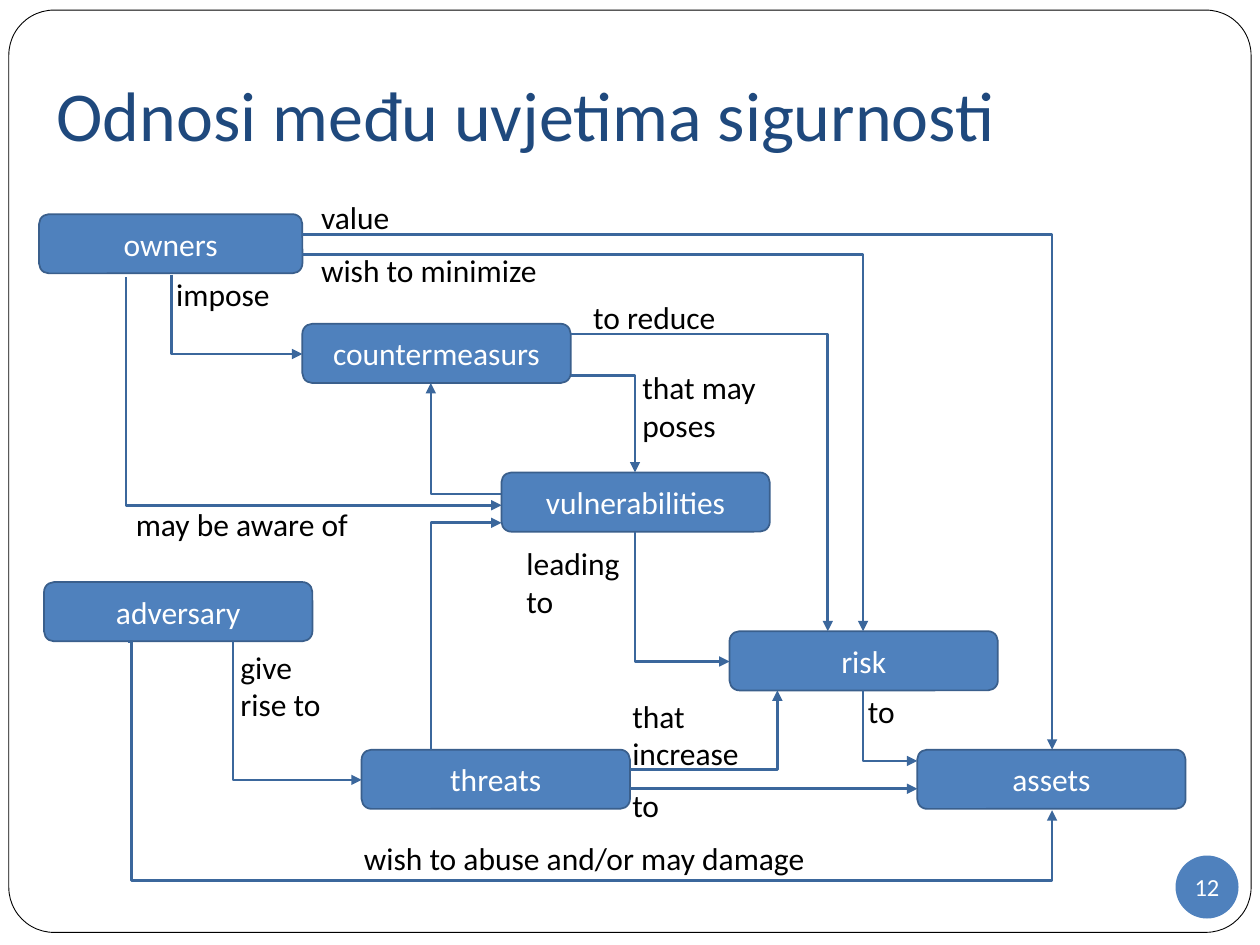
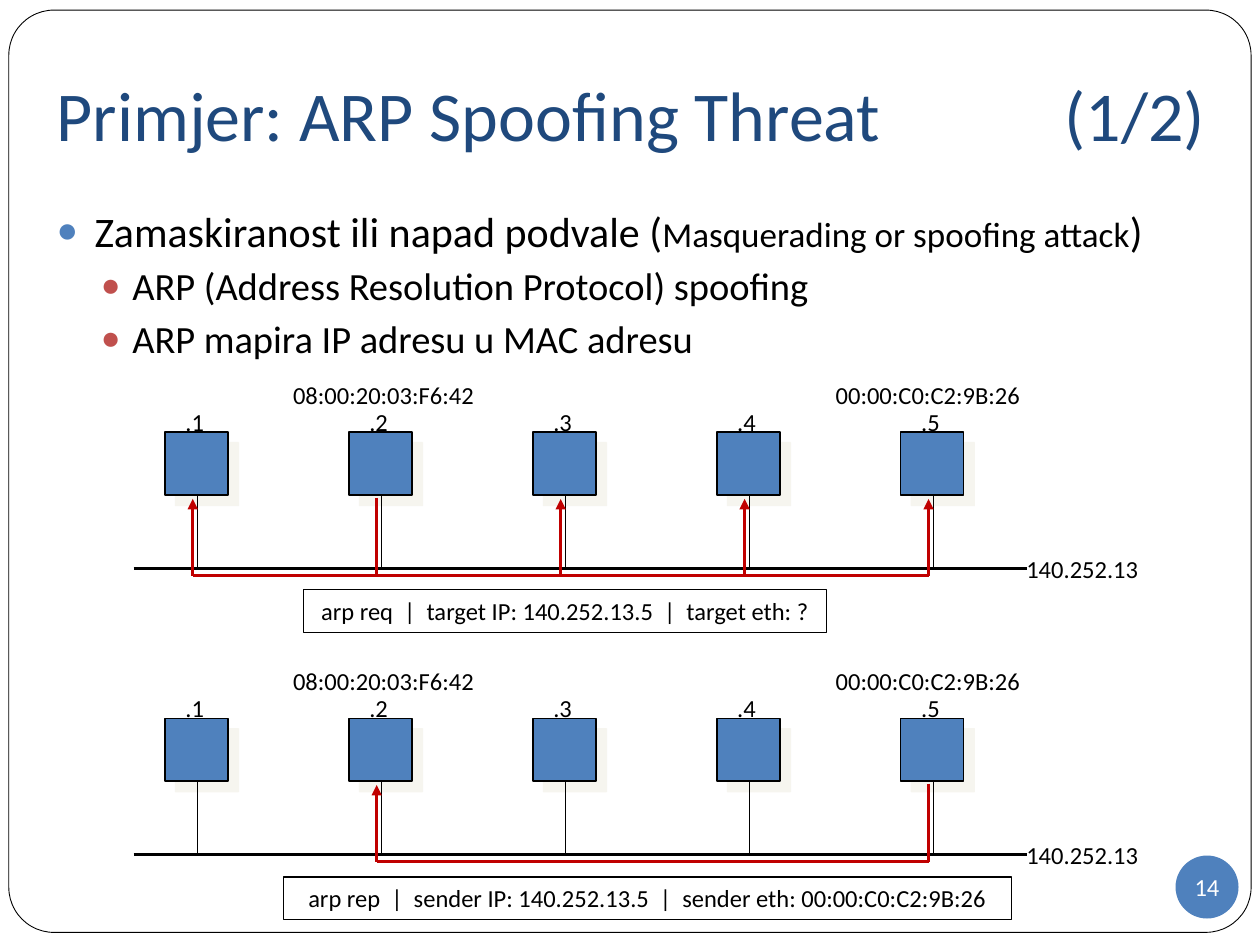
from lxml import etree
from pptx import Presentation
from pptx.dml.color import RGBColor
from pptx.enum.shapes import MSO_CONNECTOR, MSO_SHAPE
from pptx.enum.text import MSO_ANCHOR, MSO_AUTO_SIZE, PP_ALIGN
from pptx.oxml.ns import qn
from pptx.util import Inches, Pt

STRAIGHT, ELBOW = MSO_CONNECTOR.STRAIGHT, MSO_CONNECTOR.ELBOW
ROUNDED, RECT, OVAL = MSO_SHAPE.ROUNDED_RECTANGLE, MSO_SHAPE.RECTANGLE, MSO_SHAPE.OVAL
MIDDLE, TOP = MSO_ANCHOR.MIDDLE, MSO_ANCHOR.TOP
LEFT, CENTER = PP_ALIGN.LEFT, PP_ALIGN.CENTER
FIT, NO_FIT = MSO_AUTO_SIZE.SHAPE_TO_FIT_TEXT, MSO_AUTO_SIZE.NONE

BLACK = RGBColor(0x00, 0x00, 0x00)
WHITE = RGBColor(0xFF, 0xFF, 0xFF)
NAVY = RGBColor(0x1F, 0x49, 0x7D)
BLUE = RGBColor(0x4F, 0x81, 0xBD)
BOX_EDGE = RGBColor(0x3A, 0x5F, 0x8C)
ARROW_BLUE = RGBColor(0x3B, 0x67, 0x9C)
BULLET_RED = RGBColor(0xC0, 0x50, 0x4D)
MESSAGE_RED = RGBColor(0xC0, 0x00, 0x00)
CREAM = RGBColor(0xEE, 0xEC, 0xE1)

FONT = "Calibri"
TITLE_ONLY, TITLE_AND_CONTENT = 5, 1


def child(parent, tag, **attributes):
    element = etree.SubElement(parent, qn(tag))
    for key, value in attributes.items():
        element.set(key, str(value))
    return element


class Deck:
    """Holds the shared style and the slide being drawn."""

    def __init__(self):
        self.prs = Presentation()
        self.prs.slide_width, self.prs.slide_height = Inches(10), Inches(7.5)
        self.slide = None

    def new_slide(self, layout, title, number):
        first = self.slide is None
        self.slide = self.prs.slides.add_slide(self.prs.slide_layouts[layout])
        if first:
            self.master_frame()
        heading = self.slide.shapes.title
        self.place(heading, 0.35, 0.3, 9.37, 1.25)
        frame = heading.text_frame
        frame.margin_bottom = Inches(0.1)
        frame.auto_size, frame.vertical_anchor = NO_FIT, MIDDLE
        self.add_text(frame.paragraphs[0], title, 40, NAVY)
        if "\t" in title:
            tabs = child(frame.paragraphs[0]._p.get_or_add_pPr(), "a:tabLst")
            for stop in (7, 8):
                child(tabs, "a:tab", pos=Inches(stop), algn="l")
        badge = self.shape(OVAL, 9.33, 6.79, 0.5, 0.5, BLUE, text=number, size=14)
        frame = badge.text_frame
        frame.margin_left = frame.margin_right = frame.margin_top = frame.margin_bottom = 0
        frame.word_wrap = False

    def master_frame(self):
        """Moves the rounded page border to the master, behind everything."""
        border = self.shape(ROUNDED, 0.07, 0.08, 9.86, 7.32, WHITE, BLACK, 0.5)
        border.adjustments[0] = 0.049
        self.prs.slide_master.shapes._spTree.insert(2, border._element)

    def place(self, shape, x, y, w, h):
        shape.left, shape.top = Inches(x), Inches(y)
        shape.width, shape.height = Inches(w), Inches(h)

    def add_text(self, paragraph, text, size, color, align=LEFT):
        paragraph.alignment = align
        for index, part in enumerate(text.split("\n")):
            if index:
                paragraph.add_line_break()
            run = paragraph.add_run()
            run.text = part
            run.font.name, run.font.size = FONT, Pt(size)
            run.font.color.rgb = color

    def shape(self, preset, x, y, w, h, fill, edge=None, weight=1, text="", size=18):
        shape = self.slide.shapes.add_shape(preset, Inches(x), Inches(y), Inches(w), Inches(h))
        shape.shadow.inherit = False
        shape.fill.solid()
        shape.fill.fore_color.rgb = fill
        if edge is None:
            shape.line.fill.background()
        else:
            shape.line.color.rgb = edge
            shape.line.width = Pt(weight)
        if text:
            shape.text_frame.vertical_anchor = MIDDLE
            self.add_text(shape.text_frame.paragraphs[0], text, size, WHITE, CENTER)
        return shape

    def label(self, text, x, y, w, h, size=18, align=LEFT, wrap=True):
        box = self.slide.shapes.add_textbox(Inches(x), Inches(y), Inches(w), Inches(h))
        box.text_frame.word_wrap = wrap
        box.text_frame.auto_size = FIT
        self.add_text(box.text_frame.paragraphs[0], text, size, BLACK, align)

    def line(self, start, end, color, weight=1.5, arrow=False, kind=STRAIGHT):
        link = self.slide.shapes.add_connector(kind, *map(Inches, start + end))
        link.line.color.rgb, link.line.width = color, Pt(weight)
        if arrow:
            child(link.line._get_or_add_ln(), "a:tailEnd", type="triangle")
        child(link._element.spPr, "a:effectLst")
        return link

    def elbow(self, start, end, down_first=False):
        """One right-angle turn; down_first leaves the start vertically."""
        link = self.line(start, end, ARROW_BLUE, arrow=True, kind=ELBOW)
        link._element.spPr.find(qn("a:prstGeom")).set("prst", "bentConnector2")
        if down_first:
            (x1, y1), (x2, y2) = start, end
            w, h = abs(y2 - y1), abs(x2 - x1)
            self.place(link, (x1 + x2 - w) / 2, (y1 + y2 - h) / 2, w, h)
            xfrm = link._element.spPr.find(qn("a:xfrm"))
            angle = 270 if (x2 > x1) == (y2 > y1) else 90
            xfrm.set("rot", str(angle * 60000))
            xfrm.set("flipH", str(int(x2 > x1)))
            xfrm.set("flipV", str(int(y2 < y1)))

    def detour(self, start, end, depth):
        """Goes down, across and back up; depth is a share of the height."""
        link = self.line(start, end, ARROW_BLUE, arrow=True, kind=ELBOW)
        geometry = link._element.spPr.find(qn("a:prstGeom"))
        geometry.set("prst", "bentConnector4")
        guides = geometry.find(qn("a:avLst"))
        for name, share in (("adj1", 0.003), ("adj2", depth)):
            child(guides, "a:gd", name=name, fmla=f"val {round(share * 100000)}")

    def bullet(self, paragraph, level, runs):
        indent, hanging, before, color = ((0.3, 0.3, 5.8, BLUE), (0.6, 0.25, 3.8, BULLET_RED))[level]
        paragraph.level, paragraph.space_before = level, Pt(before)
        for text, size in runs:
            self.add_text(paragraph, text, size, BLACK)
        props = paragraph._p.get_or_add_pPr()
        props.set("marL", str(Inches(indent)))
        props.set("indent", str(-Inches(hanging)))
        child(child(props, "a:buClr"), "a:srgbClr", val=color)
        child(props, "a:buSzPct", val=85000)
        child(props, "a:buChar", char="●")

    def host(self, x, y):
        square = self.shape(RECT, x, y, 0.5, 0.5, BLUE, BLACK, 0.75)
        effects = square._element.spPr.find(qn("a:effectLst"))
        shadow = child(effects, "a:outerShdw", blurRad=0, dist=Pt(8.5), dir=45 * 60000,
                       algn="ctr", rotWithShape=0)
        child(child(shadow, "a:srgbClr", val=CREAM), "a:alpha", val=50000)

    def network(self, y):
        """Five hosts hanging on one bus; y is the top of the hosts."""
        self.line((1.06, y + 1.08), (8.15, y + 1.08), BLACK)
        for number, x in enumerate(HOSTS, 1):
            self.host(x, y)
            self.line((x + 0.26, y + 0.5), (x + 0.26, y + 1.08), BLACK, 0.75)
            self.label(f".{number}", x + 0.06, y - 0.25, 0.35, 0.34, 14, CENTER, False)
        for text, x in (("08:00:20:03:F6:42", 2.21), ("00:00:C0:C2:9B:26", 6.53)):
            self.label(text, x, y - 0.46, 1.67, 0.34, 14, CENTER, False)
        self.label("140.252.13", 8.04, y + 0.92, 1.1, 0.34, 14, CENTER, False)

    def message(self, y, sender, receivers):
        """Red path from the sender along the bus up to each receiver."""
        ends = [HOSTS[i] + 0.22 for i in (sender, *receivers)]
        bus = y + 1.14
        self.line((ends[0], y + 0.52), (ends[0], bus), MESSAGE_RED)
        self.line((min(ends), bus), (max(ends), bus), MESSAGE_RED)
        for x in ends[1:]:
            self.line((x, bus), (x, y + 0.53), MESSAGE_RED, arrow=True)

    def packet(self, text, x, y, w):
        self.shape(RECT, x, y, w, 0.34, WHITE, BLACK, 0.75)
        self.label(text, x, y, w, 0.34, 14, CENTER, False)


deck = Deck()

# Slide 12: relations between security terms
deck.new_slide(TITLE_ONLY, "Odnosi među uvjetima sigurnosti", "12")

TERMS = [
    ("countermeasurs", 2.4, 2.57), ("vulnerabilities", 3.98, 3.75), ("risk", 5.79, 5.01),
    ("assets", 7.28, 5.95), ("threats", 2.87, 5.95), ("adversary", 0.35, 4.62),
    ("owners", 0.31, 1.7),
]
for term, x, y in TERMS:
    width = 2.09 if term == "owners" else 2.13
    deck.shape(ROUNDED, x, y, width, 0.47, BLUE, BOX_EDGE, text=term)

ACROSS_FIRST = [
    ((2.4, 1.86), (8.35, 5.95)),   # owners value assets
    ((2.4, 2.02), (6.85, 5.01)),   # owners wish to minimize risk
    ((4.53, 2.65), (6.57, 5.01)),  # countermeasures reduce risk
    ((4.53, 2.98), (5.04, 3.75)),  # countermeasures may pose vulnerabilities
    ((3.98, 3.92), (3.42, 3.04)),  # vulnerabilities to countermeasures
    ((5, 6.11), (6.17, 5.48)),     # threats increase risk
]
DOWN_FIRST = [
    ((1.36, 2.18), (2.4, 2.81)),   # owners impose countermeasures
    ((1, 2.2), (3.98, 4.01)),      # owners may be aware of vulnerabilities
    ((1.85, 5.09), (2.87, 6.19)),  # adversary gives rise to threats
    ((3.42, 5.95), (3.98, 4.15)),  # threats to vulnerabilities
    ((5.04, 4.22), (5.79, 5.25)),  # vulnerabilities lead to risk
    ((6.85, 5.48), (7.28, 6.04)),  # risk to assets
]
for start, end in ACROSS_FIRST:
    deck.elbow(start, end)
for start, end in DOWN_FIRST:
    deck.elbow(start, end, down_first=True)
deck.detour((1.02, 5.09), (8.35, 6.43), 1.415)
deck.line((5, 6.26), (7.28, 6.26), ARROW_BLUE, arrow=True)

RELATIONS = [
    ("value", 2.45, 1.52, 0.94, 0.4), ("wish to minimize", 2.45, 1.94, 2.13, 0.4),
    ("impose", 1.3, 2.13, 0.94, 0.4), ("may be aware of", 0.98, 3.96, 2.13, 0.4),
    ("to reduce", 4.61, 2.32, 1.34, 0.4), ("that may poses", 5, 2.87, 1.34, 0.71),
    ("leading \nto", 4.08, 4.27, 1.02, 0.71), ("that increase", 4.92, 5.48, 1.34, 0.71),
    ("to", 4.92, 6.19, 0.63, 0.4), ("give rise to", 1.81, 5.09, 1.02, 0.71),
    ("wish to abuse and/or may damage", 2.79, 6.61, 3.94, 0.4), ("to", 6.79, 5.44, 0.55, 0.4),
]
for relation, *area in RELATIONS:
    deck.label(relation, *area, align=CENTER if relation == "impose" else LEFT)

# Slide 14: ARP spoofing
deck.new_slide(TITLE_AND_CONTENT, "Primjer: ARP Spoofing Threat \t\t(1/2)", "14")

body = deck.slide.placeholders[1]
deck.place(body, 0.35, 1.58, 9.37, 5.63)
body.text_frame.auto_size, body.text_frame.vertical_anchor = NO_FIT, TOP
POINTS = [
    (0, [("Zamaskiranost ili napad podvale (", 24), ("Masquerading or spoofing attack", 20), (")", 24)]),
    (1, [("ARP (Address Resolution Protocol) spoofing", 22)]),
    (1, [("ARP mapira IP adresu u MAC adresu", 22)]),
]
for index, (level, runs) in enumerate(POINTS):
    frame = body.text_frame
    deck.bullet(frame.add_paragraph() if index else frame.paragraphs[0], level, runs)

# Request goes to every host, the reply only to the asker
HOSTS = [1.31 + 1.46 * i for i in range(5)]
REQUEST_TOP, REPLY_TOP = 3.43, 5.7
deck.network(REQUEST_TOP)
deck.network(REPLY_TOP)
deck.message(REQUEST_TOP, 1, (0, 2, 3, 4))
deck.message(REPLY_TOP, 4, (1,))
deck.packet("arp req  |  target IP: 140.252.13.5  |  target eth: ?", 2.41, 4.68, 4.15)
deck.packet("arp rep  |  sender IP: 140.252.13.5  |  sender eth: 00:00:C0:C2:9B:26", 2.25, 6.96, 5.78)

deck.prs.save("out.pptx")
